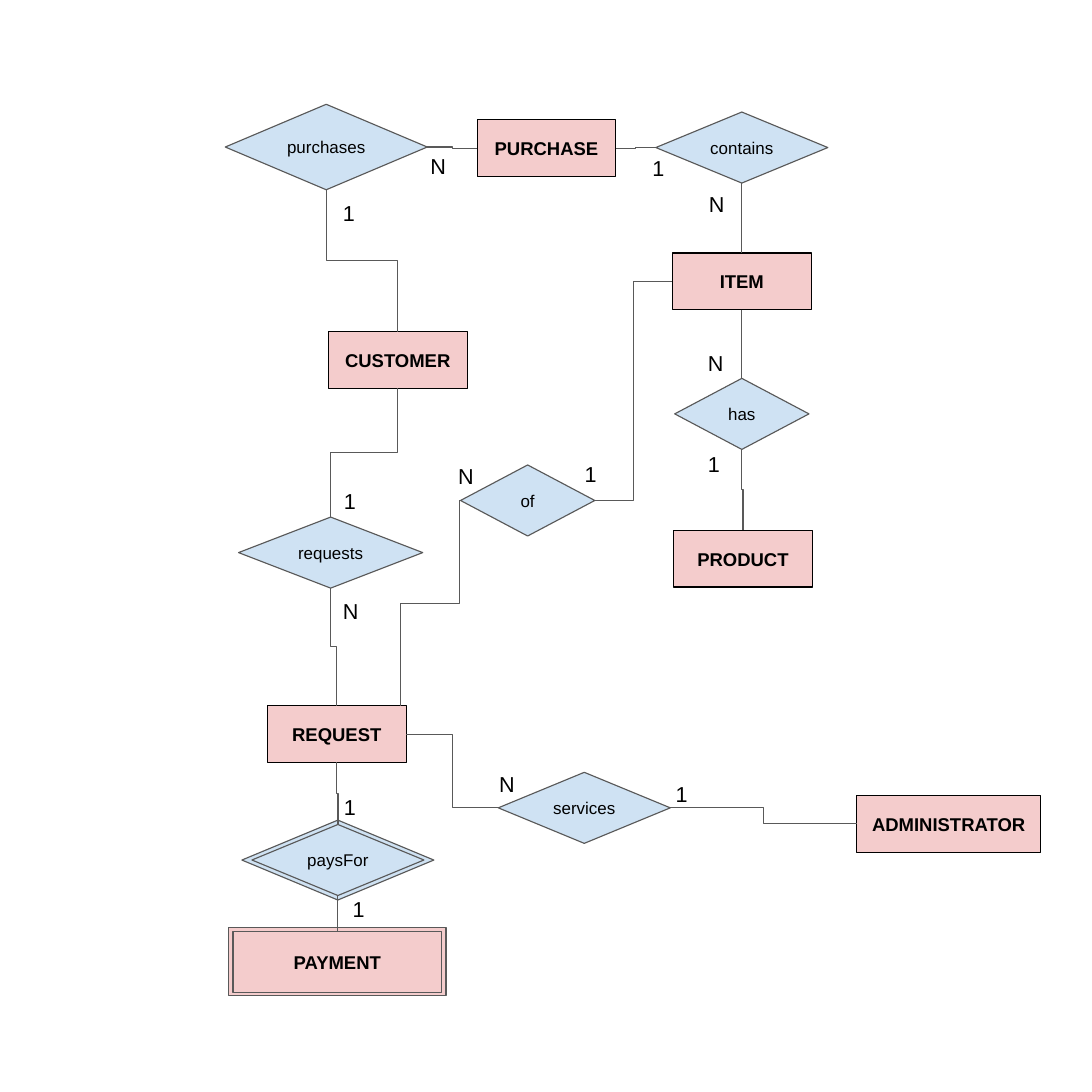
"""Entity-relationship diagram of purchases, requests and payments."""
from pptx import Presentation
from pptx.dml.color import RGBColor
from pptx.enum.shapes import MSO_CONNECTOR as Connector, MSO_SHAPE as Shape
from pptx.enum.text import MSO_ANCHOR as Anchor, PP_ALIGN as Align
from pptx.oxml.ns import qn
from pptx.oxml.xmlchemy import OxmlElement
from pptx.util import Inches, Pt

PINK = RGBColor(0xF4, 0xCC, 0xCC)
BLUE = RGBColor(0xCF, 0xE2, 0xF3)
BLACK = RGBColor(0, 0, 0)
GREY = RGBColor(0x59, 0x59, 0x59)
SIDE = 9.84
TOP, LEFT, BOTTOM, RIGHT = range(4)

ENTITIES = {
    "CUSTOMER": (2.96, 2.99, 1.25, 0.51),
    "ADMINISTRATOR": (7.72, 7.17, 1.66, 0.51),
    "PRODUCT": (6.07, 4.78, 1.25, 0.51),
    "ITEM": (6.06, 2.28, 1.25, 0.51),
    "REQUEST": (2.41, 6.36, 1.25, 0.51),
    "PURCHASE": (4.3, 1.08, 1.25, 0.51),
}
RELATIONSHIPS = {
    "requests": (2.15, 4.66, 1.66, 0.64),
    "has": (6.08, 3.41, 1.21, 0.64),
    "services": (4.49, 6.96, 1.55, 0.64),
    "contains": (5.91, 1.01, 1.55, 0.64),
    "of": (4.15, 4.19, 1.21, 0.64),
    "purchases": (2.03, 0.94, 1.82, 0.77),
}
WEAK_RELATIONSHIP = ("paysFor", (2.18, 7.39, 1.73, 0.72), 0.09, 0.04)
WEAK_ENTITY = ("PAYMENT", (2.06, 8.36, 1.96, 0.61), 0.04, 0.03)
DOWN_LINKS = [
    ("purchases", "CUSTOMER"), ("CUSTOMER", "requests"), ("requests", "REQUEST"),
    ("REQUEST", "paysFor"), ("paysFor", "PAYMENT"), ("contains", "ITEM"),
    ("ITEM", "has"), ("has", "PRODUCT"),
]
ACROSS_LINKS = [
    ("purchases", "PURCHASE"), ("PURCHASE", "contains"), ("of", "ITEM"),
    ("REQUEST", "services"), ("services", "ADMINISTRATOR"),
]
REQUEST_OF_LINK = (4.14, 4.51, 3.61, 6.36)
CARDINALITIES = {
    "1": [(2.99, 1.7), (5.78, 1.3), (3, 4.3), (3, 7.05), (3.08, 7.97),
          (5.17, 4.05), (5.99, 6.94), (6.28, 3.96)],
    "N": [(3.78, 1.28), (6.29, 1.62), (2.99, 5.29), (4.03, 4.07),
          (4.4, 6.85), (6.28, 3.05)],
}


def write(shape, text, size=11, bold=False, align=Align.CENTER,
          anchor=Anchor.MIDDLE, inset=0.1, wrap=False):
    """Put one formatted line of text into a shape."""
    frame = shape.text_frame
    frame.word_wrap, frame.vertical_anchor = wrap, anchor
    frame.margin_left = frame.margin_right = Inches(inset)
    frame.margin_top = frame.margin_bottom = Inches(inset)
    para = frame.paragraphs[0]
    para.alignment = align
    span = para.add_run()
    span.text = text
    span.font.name, span.font.size, span.font.bold = "Arial", Pt(size), bold
    span.font.color.rgb = BLACK


def outline(shapes, kind, box, fill, line):
    """Add a filled preset shape with a thin border."""
    shape = shapes.add_shape(kind, *map(Inches, box))
    shape.shadow.inherit = False
    shape.fill.solid()
    shape.fill.fore_color.rgb = fill
    shape.line.color.rgb, shape.line.width = line, Pt(0.75)
    return shape


def entity(shapes, box, name, line=BLACK, inset=0.04):
    """Add an entity rectangle with its name."""
    shape = outline(shapes, Shape.RECTANGLE, box, PINK, line)
    write(shape, name, size=12, bold=True, inset=inset)
    return shape


def relationship(shapes, box, name):
    """Add a relationship diamond with its name."""
    shape = outline(shapes, Shape.DIAMOND, box, BLUE, GREY)
    write(shape, name)
    return shape


def double_border(page, kind, fill, box, gap_x, gap_y):
    """Add a group holding the outer border; return it and the inner box."""
    group = page.shapes.add_group_shape()
    outline(group.shapes, kind, box, fill, GREY)
    left, top, width, height = box
    inner = (left + gap_x, top + gap_y, width - 2 * gap_x, height - 2 * gap_y)
    return group.shapes, inner


def elbow(page, ends=(0, 0, 0, 0)):
    """Add a thin grey elbow connector."""
    line = page.shapes.add_connector(Connector.ELBOW, *map(Inches, ends))
    line.line.color.rgb, line.line.width = GREY, Pt(0.75)
    line.element.spPr.append(OxmlElement("a:effectLst"))
    return line


def glue(line, start, start_site, end, end_site):
    """Attach both ends of a connector to shapes."""
    line.begin_connect(start, start_site)
    line.end_connect(end, end_site)


def turn_down(line):
    """Turn an elbow so that it leaves downwards and arrives from above."""
    shift, drop = line.end_x - line.begin_x, line.end_y - line.begin_y
    middle_x = (line.begin_x + line.end_x) // 2
    middle_y = (line.begin_y + line.end_y) // 2
    line.width, line.height = drop, abs(shift)
    line.left, line.top = middle_x - drop // 2, middle_y - abs(shift) // 2
    frame = line.element.spPr.find(qn("a:xfrm"))
    degrees, flip = (270, "1") if shift >= 0 else (90, "0")
    frame.set("rot", str(degrees * 60000))
    frame.set("flipH", flip)
    frame.set("flipV", "0")


def draw_nodes(page, box):
    """Draw all entities and relationships, and return them by name."""
    def place(spot):
        return (box[0] + spot[0], box[1] + spot[1], *spot[2:])

    nodes = {name: entity(page.shapes, place(spot), name)
             for name, spot in ENTITIES.items()}
    for name, spot in RELATIONSHIPS.items():
        nodes[name] = relationship(page.shapes, place(spot), name)
    name, spot, *gaps = WEAK_RELATIONSHIP
    shapes, inner = double_border(page, Shape.DIAMOND, BLUE, place(spot), *gaps)
    nodes[name] = relationship(shapes, inner, name)
    name, spot, *gaps = WEAK_ENTITY
    shapes, inner = double_border(page, Shape.RECTANGLE, PINK, place(spot), *gaps)
    nodes[name] = entity(shapes, inner, name, line=GREY, inset=0.1)
    return nodes


def draw_links(page, box, nodes):
    """Connect the entities and relationships."""
    for upper, lower in DOWN_LINKS:
        line = elbow(page)
        glue(line, nodes[upper], BOTTOM, nodes[lower], TOP)
        turn_down(line)
    for first, second in ACROSS_LINKS:
        glue(elbow(page), nodes[first], RIGHT, nodes[second], LEFT)
    x1, y1, x2, y2 = REQUEST_OF_LINK
    turn_down(elbow(page, (box[0] + x1, box[1] + y1, box[0] + x2, box[1] + y2)))


def draw_cardinalities(page, box):
    """Write the 1 and N marks beside the links."""
    for mark, spots in CARDINALITIES.items():
        for left, top in spots:
            label = page.shapes.add_textbox(
                *map(Inches, (box[0] + left, box[1] + top, 0.35, 0.44)))
            write(label, mark, size=14, align=Align.LEFT, anchor=Anchor.TOP, wrap=True)


def main():
    """Build and save the deck."""
    deck = Presentation()
    deck.slide_width = deck.slide_height = Inches(SIDE)
    page = deck.slides.add_slide(deck.slide_layouts[6])
    box = (0, 0, SIDE, SIDE)
    nodes = draw_nodes(page, box)
    draw_links(page, box, nodes)
    draw_cardinalities(page, box)
    deck.save("out.pptx")


main()
